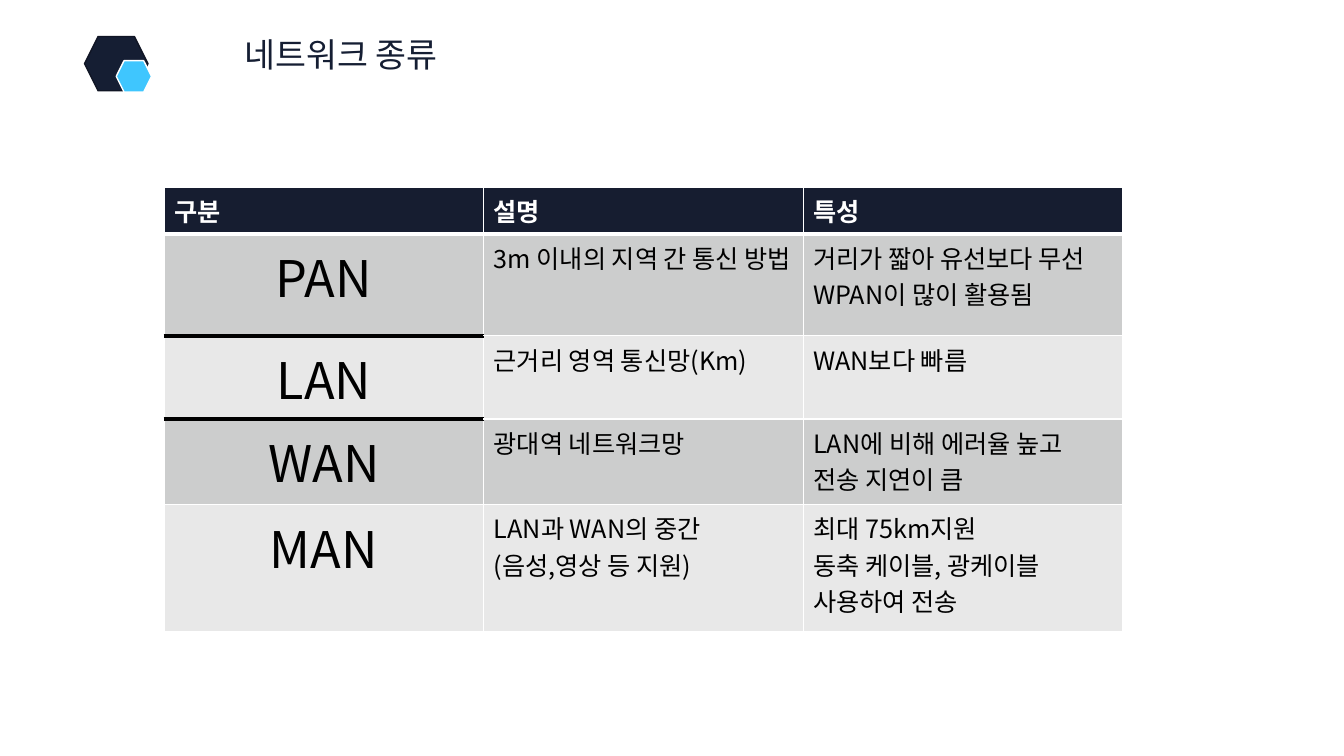
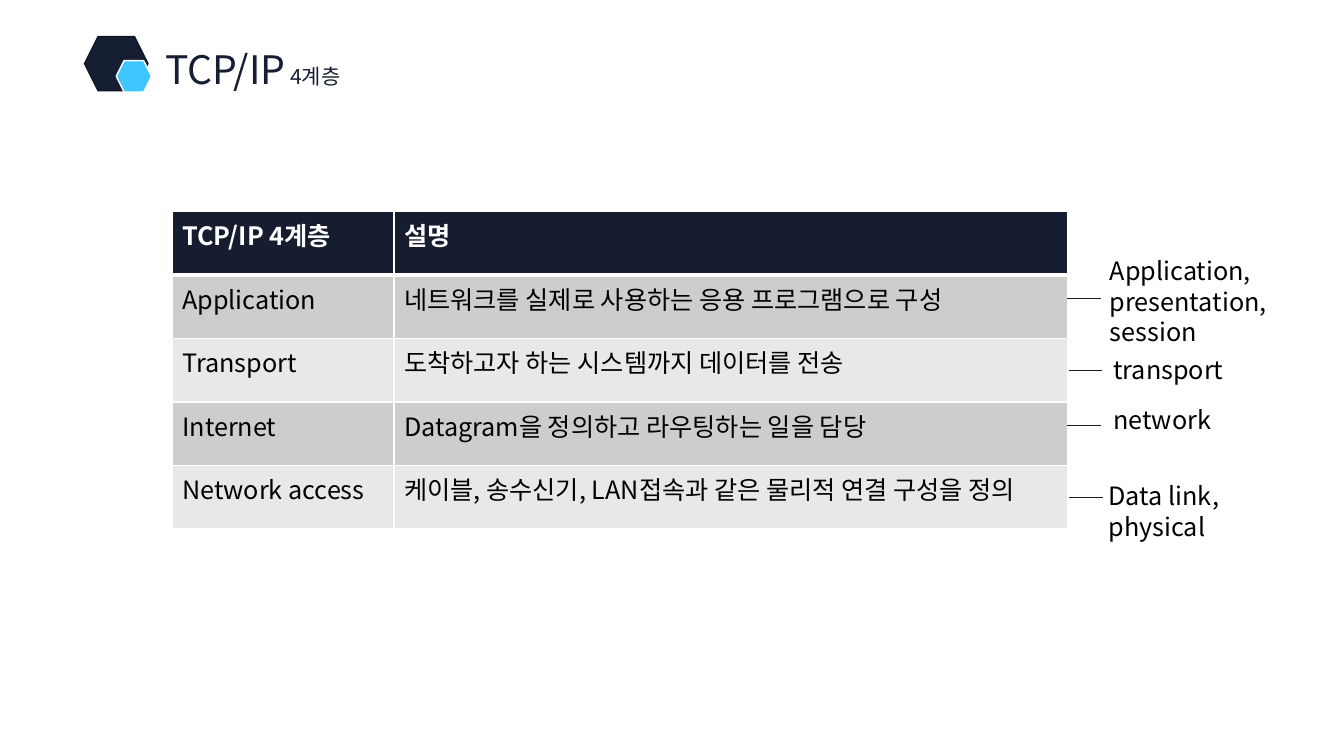
from dataclasses import dataclass

from lxml import etree
from pptx import Presentation
from pptx.dml.color import RGBColor
from pptx.enum.shapes import MSO_CONNECTOR, MSO_SHAPE
from pptx.enum.text import MSO_ANCHOR, PP_ALIGN
from pptx.oxml.ns import qn
from pptx.util import Cm, Pt

HEXAGON = MSO_SHAPE.HEXAGON
ROUND_ONE = MSO_SHAPE.ROUND_1_RECTANGLE
STRAIGHT = MSO_CONNECTOR.STRAIGHT
TOP = MSO_ANCHOR.TOP
LEFT, CENTER = PP_ALIGN.LEFT, PP_ALIGN.CENTER


@dataclass(frozen=True)
class Theme:
    """Colours, fonts and type sizes of the deck."""
    navy: str = "151E33"
    outline: str = "101524"
    sky: str = "3FC6FE"
    header: str = "161D30"
    bands: tuple = ("CCCDCD", "E8E8E8")
    white: str = "FFFFFF"
    black: str = "000000"
    title_font: str = "Noto Sans CJK KR"
    body_font: str = "Noto Sans CJK SC"
    title: int = 24
    title_large: int = 28
    title_small: int = 15
    body: int = 18
    key: int = 36


T = Theme()

KINDS = [
    ["구분", "설명", "특성"],
    ["PAN", "3m 이내의 지역 간 통신 방법", "거리가 짧아 유선보다 무선 WPAN이 많이 활용됨"],
    ["LAN", "근거리 영역 통신망(Km)", "WAN보다 빠름"],
    ["WAN", "광대역 네트워크망", "LAN에 비해 에러율 높고 전송 지연이 큼"],
    ["MAN", "LAN과 WAN의 중간\n(음성,영상 등 지원)",
     "최대 75km지원\n동축 케이블, 광케이블 사용하여 전송"],
]
LAYERS = [
    ["TCP/IP 4계층", "설명"],
    ["Application", "네트워크를 실제로 사용하는 응용 프로그램으로 구성"],
    ["Transport", "도착하고자 하는 시스템까지 데이터를 전송"],
    ["Internet", "Datagram을 정의하고 라우팅하는 일을 담당"],
    ["Network access", "케이블, 송수신기, LAN접속과 같은 물리적 연결 구성을 정의"],
]
OSI_LABELS = [
    ("Application, presentation, session", 0, 2.19, 0.82, 0.99),
    ("transport", 0.03, 3.99, 0.91, 3.48),
    ("network", 0, 5.39, 0.91, 4.73),
    ("Data link, physical", 0.05, 7.19, 0.79, 6.66),
]


def rgb(value):
    """Turn a hex string into a colour."""
    return RGBColor.from_string(value)


def add_run(p, text, size, color, font, bold=False):
    """Add one styled run, with the same font for Latin and Korean."""
    r = p.add_run()
    r.text = text
    r.font.size, r.font.bold, r.font.name = Pt(size), bold, font
    r.font.color.rgb = rgb(color)
    etree.SubElement(r.font._element, qn("a:ea")).set("typeface", font)


def add_hexagon(s, x, y, w, h, fill, line):
    """Draw one hexagon of the corner ornament."""
    sp = s.shapes.add_shape(HEXAGON, Cm(x), Cm(y), Cm(w), Cm(h))
    sp.shadow.inherit = False
    sp.fill.solid()
    sp.fill.fore_color.rgb = rgb(fill)
    sp.line.color.rgb = rgb(line)
    sp.line.width = Pt(1)


def add_ornament(s, x, y):
    """Draw the pair of hexagons in the slide corner."""
    add_hexagon(s, x, y, 1.6, 1.37, T.navy, T.outline)
    add_hexagon(s, x + 0.8, y + 0.61, 0.89, 0.79, T.sky, T.white)


def add_title(s, x, y, runs, align):
    """Place the title, given as (text, size) runs."""
    sp = s.shapes.add_shape(ROUND_ONE, Cm(x), Cm(y), Cm(10.21), Cm(1.8))
    sp.shadow.inherit = False
    sp.fill.background()
    sp.line.fill.background()
    tf = sp.text_frame
    tf.word_wrap = True
    tf.vertical_anchor = TOP
    p = tf.paragraphs[0]
    p.alignment = align
    for text, size in runs:
        add_run(p, text, size, T.navy, T.title_font)


def set_borders(cell, top, bottom):
    """Draw the four cell borders; top and bottom are (colour, points)."""
    thin = (T.white, 1)
    tc_pr = cell._tc.get_or_add_tcPr()
    for tag, (color, width) in zip(("lnL", "lnR", "lnT", "lnB"),
                                   (thin, thin, top, bottom)):
        ln = etree.SubElement(tc_pr, qn(f"a:{tag}"), w=str(Pt(width)))
        fill = etree.SubElement(ln, qn("a:solidFill"))
        etree.SubElement(fill, qn("a:srgbClr"), val=color)


def fill_cell(cell, text, fill, size, color, bold, align):
    """Fill a cell and write its paragraphs."""
    cell.fill.solid()
    cell.fill.fore_color.rgb = rgb(fill)
    tf = cell.text_frame
    for i, line in enumerate(text.split("\n")):
        p = tf.add_paragraph() if i else tf.paragraphs[0]
        p.alignment = align
        add_run(p, line, size, color, T.body_font, bold)


def add_grid(s, x, y, widths, heights, rows, key_column=False, dark_rules=()):
    """Build a banded table; dark_rules lists rows underlined in the key column."""
    table = s.shapes.add_table(len(rows), len(widths), Cm(x), Cm(y),
                               Cm(sum(widths)), Cm(sum(heights))).table
    for column, width in zip(table.columns, widths):
        column.width = Cm(width)
    for i, (row, height) in enumerate(zip(rows, heights)):
        table.rows[i].height = Cm(height)
        for j, text in enumerate(row):
            edges = []
            for above in (i - 1, i):
                if above == 0:
                    edges.append((T.white, 3))
                elif j == 0 and above in dark_rules:
                    edges.append((T.black, 3))
                else:
                    edges.append((T.white, 1))
            cell = table.cell(i, j)
            set_borders(cell, *edges)
            is_key = key_column and i > 0 and j == 0
            fill_cell(cell, text,
                      T.bands[(i - 1) % 2] if i else T.header,
                      T.key if is_key else T.body,
                      T.black if i else T.white,
                      i == 0, CENTER if is_key else LEFT)


def add_osi_labels(s, x, y):
    """Add leader lines and labels beside a table whose top right is x, y."""
    for text, line_x, line_y, label_x, label_y in OSI_LABELS:
        start, level = x + line_x, y + line_y
        line = s.shapes.add_connector(STRAIGHT, Cm(start), Cm(level),
                                      Cm(start + 0.84), Cm(level))
        line.line.color.rgb = rgb(T.header)
        line.line.width = Pt(0.5)
        etree.SubElement(line._element.spPr, qn("a:effectLst"))
        tf = s.shapes.add_textbox(Cm(x + label_x), Cm(y + label_y),
                                  Cm(5.21), Cm(1.02)).text_frame
        tf.word_wrap = True
        add_run(tf.paragraphs[0], text, T.body, T.black, T.body_font)


def new_slide(prs):
    """Add a blank slide with the shared ornament."""
    s = prs.slides.add_slide(prs.slide_layouts[6])
    add_ornament(s, 2.13, 0.92)
    return s


def kinds_slide(prs):
    """Build the slide on kinds of network."""
    s = new_slide(prs)
    add_title(s, 3.53, 0.74, [("네트워크 종류", T.title)], CENTER)
    add_grid(s, 4.14, 4.72, [8.05] * 3, [1.14, 2.57, 2.01, 2.16, 3.2],
             KINDS, key_column=True, dark_rules=(1, 2))


def layers_slide(prs):
    """Build the slide on the four TCP/IP layers."""
    s = new_slide(prs)
    add_title(s, 3.91, 1.02,
              [("TCP/IP", T.title_large), (" 4계층", T.title_small)], LEFT)
    x, y, widths = 4.34, 5.33, [5.59, 16.97]
    add_grid(s, x, y, widths, [1.6] * 5, LAYERS)
    add_osi_labels(s, x + sum(widths), y)


def main():
    """Build and save the deck."""
    prs = Presentation()
    prs.slide_width, prs.slide_height = Cm(33.87), Cm(19.05)
    kinds_slide(prs)
    layers_slide(prs)
    prs.save("out.pptx")


if __name__ == "__main__":
    main()
